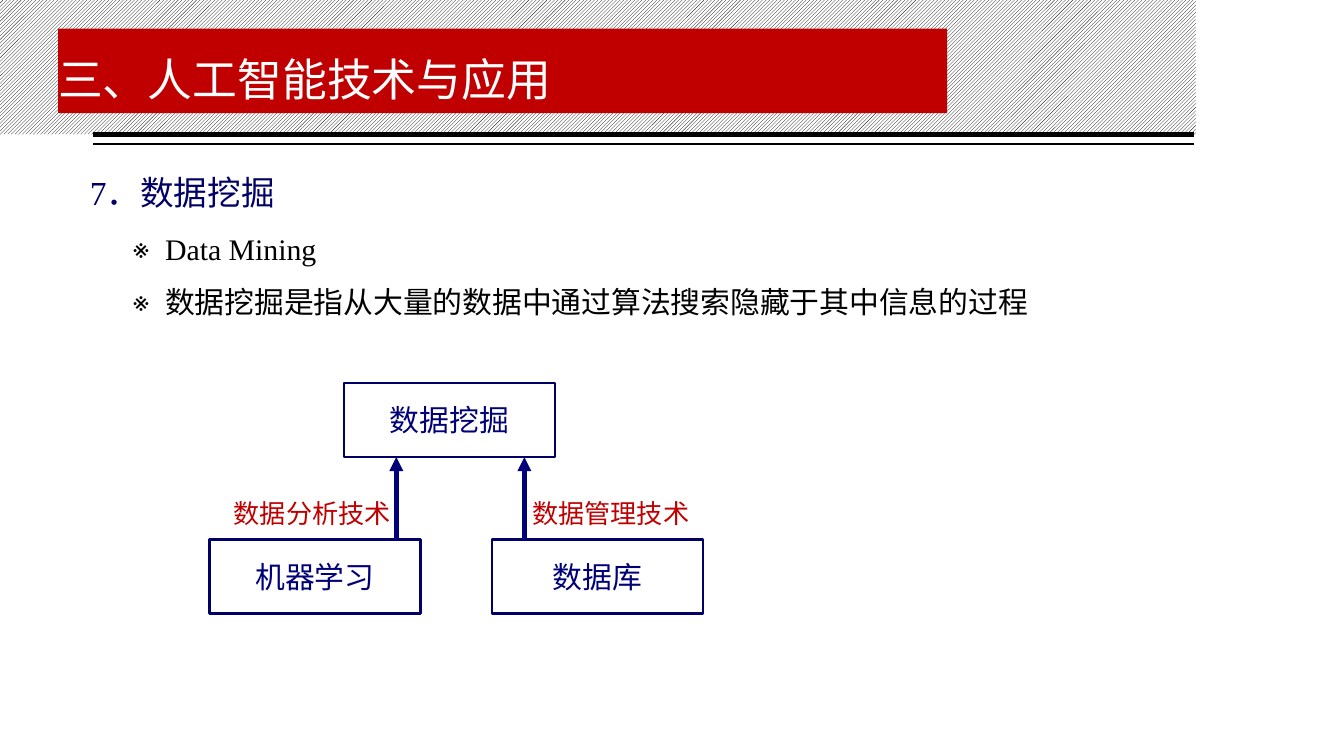
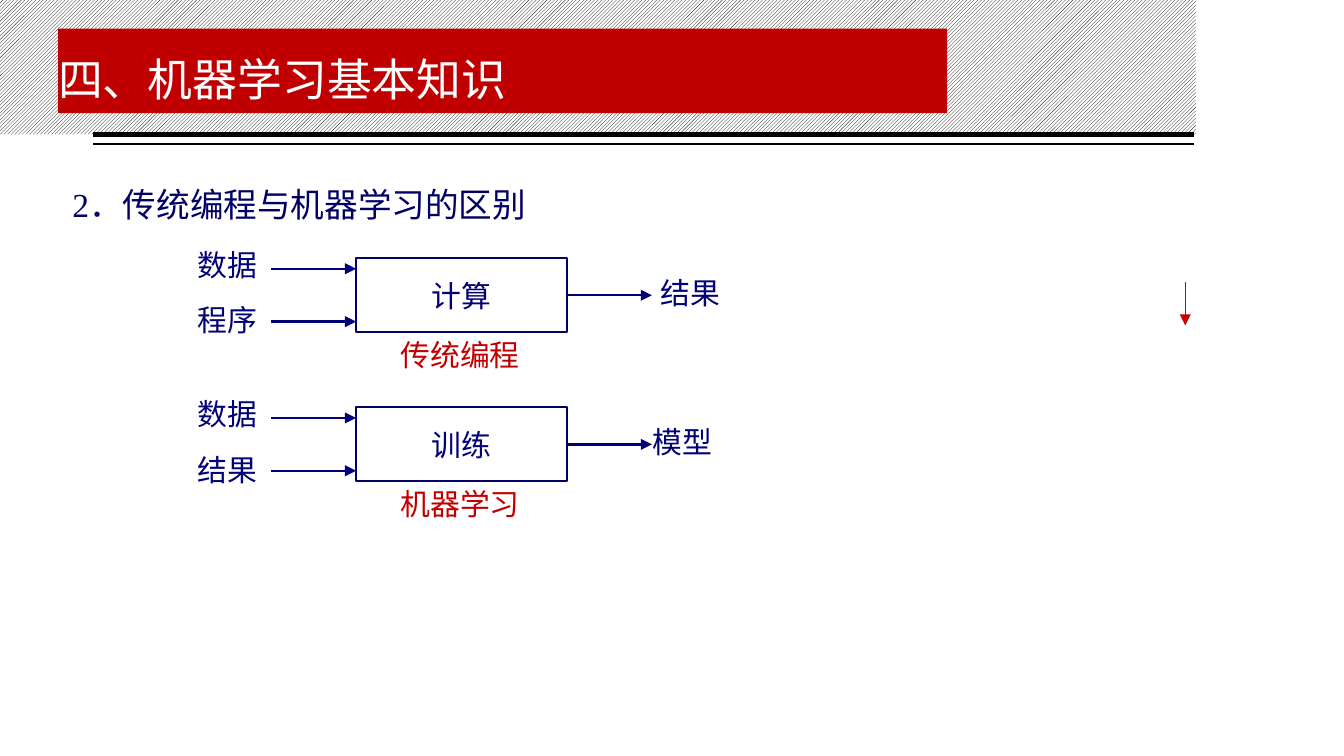
from dataclasses import dataclass

from lxml.etree import SubElement
from pptx import Presentation
from pptx.dml.color import RGBColor
from pptx.enum.dml import MSO_PATTERN
from pptx.enum.shapes import MSO_CONNECTOR, MSO_SHAPE
from pptx.enum.text import MSO_ANCHOR, MSO_AUTO_SIZE, PP_ALIGN
from pptx.oxml.ns import qn
from pptx.shapes.autoshape import Shape
from pptx.shapes.connector import Connector
from pptx.slide import Slide
from pptx.text.text import TextFrame
from pptx.util import Cm, Pt

BLACK, WHITE = "000000", "FFFFFF"
RED, ARROW_RED = "C00000", "CC0000"
NAVY, INK = "000066", "000078"
CJK, LATIN = "Noto Sans CJK SC", "Times New Roman"
BOX_WIDTH, BOX_HEIGHT = 3.99, 1.4
LABEL_WIDTH, LABEL_HEIGHT = 1.65, 0.94
INSET = 0.25


@dataclass(frozen=True)
class Node:
    text: str
    left: float
    top: float


@dataclass(frozen=True)
class Process:
    """A box with two inputs on the left, one output on the right and a caption below."""
    name: str
    inputs: tuple[str, str]
    output: str
    output_left: float
    caption: str


def color(value: str) -> RGBColor:
    return RGBColor.from_string(value)


def place(shape: Shape, left: float, top: float, width: float, height: float) -> None:
    shape.left, shape.top = Cm(left), Cm(top)
    shape.width, shape.height = Cm(width), Cm(height)


def set_frame(frame: TextFrame, *, wrap: bool = True, side: float = INSET,
              anchor: MSO_ANCHOR = MSO_ANCHOR.TOP) -> None:
    frame.auto_size = MSO_AUTO_SIZE.NONE
    frame.word_wrap = wrap
    frame.vertical_anchor = anchor
    frame.margin_left = frame.margin_right = Cm(side)
    frame.margin_top = frame.margin_bottom = Cm(0.13)


def write(frame: TextFrame, text: str, *, size: float = 16, ink: str = INK,
          font: str = CJK, align: PP_ALIGN = PP_ALIGN.LEFT, spacing: float = 1.0,
          bullet: str = "", indent: float = 0, hanging: float = 0,
          new_paragraph: bool = False) -> None:
    paragraph = frame.add_paragraph() if new_paragraph else frame.paragraphs[0]
    paragraph.alignment = align
    paragraph.line_spacing = spacing
    paragraph.space_before = Pt(0)
    properties = paragraph._p.get_or_add_pPr()
    properties.set("marL", str(Cm(indent)))
    properties.set("indent", str(-Cm(hanging)))
    if bullet:
        SubElement(properties, qn("a:buChar")).set("char", bullet)
    else:
        SubElement(properties, qn("a:buNone"))
    run = paragraph.add_run()
    run.text = text
    run.font.size = Pt(size)
    run.font.name = font
    run.font.color.rgb = color(ink)
    SubElement(run.font._element, qn("a:ea")).set("typeface", CJK)


def add_line(slide: Slide, start: tuple[float, float], end: tuple[float, float], *,
             ink: str = INK, weight: float = 1.25, arrow: bool = True) -> Connector:
    line = slide.shapes.add_connector(
        MSO_CONNECTOR.STRAIGHT, *(Cm(length) for length in start + end))
    line.line.color.rgb = color(ink)
    line.line.width = Pt(weight)
    if arrow:
        SubElement(line.line._get_or_add_ln(), qn("a:tailEnd")).set("type", "triangle")
    SubElement(line.element.spPr, qn("a:effectLst"))
    return line


def add_box(slide: Slide, node: Node) -> None:
    box = slide.shapes.add_shape(MSO_SHAPE.RECTANGLE, 0, 0, 0, 0)
    place(box, node.left, node.top, BOX_WIDTH, BOX_HEIGHT)
    box.shadow.inherit = False
    box.fill.background()
    box.line.color.rgb = color(NAVY)
    box.line.width = Pt(1.25)
    set_frame(box.text_frame, wrap=False, anchor=MSO_ANCHOR.MIDDLE)
    write(box.text_frame, node.text, align=PP_ALIGN.CENTER)


def add_label(slide: Slide, node: Node, *, width: float = LABEL_WIDTH,
              height: float = LABEL_HEIGHT, wrap: bool = False,
              anchor: MSO_ANCHOR = MSO_ANCHOR.TOP, **text_format) -> None:
    label = slide.shapes.add_textbox(0, 0, 0, 0)
    place(label, node.left, node.top, width, height)
    set_frame(label.text_frame, wrap=wrap, anchor=anchor)
    write(label.text_frame, node.text, **text_format)


def move_header_to_master(presentation: Presentation, slide: Slide) -> None:
    """Draw the hatched band and double rule, then hand them to the slide master."""
    band = slide.shapes.add_shape(MSO_SHAPE.RECTANGLE, 0, 0, Cm(22.6), Cm(2.54))
    band.shadow.inherit = False
    band.line.fill.background()
    band.fill.patterned()
    band.fill.pattern = MSO_PATTERN.LIGHT_UPWARD_DIAGONAL
    band.fill.fore_color.rgb = color(BLACK)
    band.fill.back_color.rgb = color(WHITE)
    rules = [add_line(slide, (22.56, top), (1.75, top), ink=BLACK, weight=weight, arrow=False)
             for top, weight in ((2.54, 3), (2.72, 1))]
    tree = presentation.slide_master.shapes.element
    for position, shape in enumerate([band, *rules]):
        shape.element.xpath(".//p:cNvPr")[0].set("id", str(100 + position))
        tree.insert(2 + position, shape.element)


def add_slide(presentation: Presentation, layout: int, text: str) -> Slide:
    slide = presentation.slides.add_slide(presentation.slide_layouts[layout])
    title = slide.shapes.title
    place(title, 1.1, 0.54, 16.8, 1.6)
    title.fill.solid()
    title.fill.fore_color.rgb = color(RED)
    set_frame(title.text_frame, side=0, anchor=MSO_ANCHOR.BOTTOM)
    write(title.text_frame, text, size=24, ink=WHITE, spacing=0.9)
    return slide


def build_data_mining(presentation: Presentation) -> None:
    slide = add_slide(presentation, 1, "三、人工智能技术与应用")
    move_header_to_master(presentation, slide)
    body = slide.placeholders[1]
    place(body, 1.7, 2.74, 21.41, 3.81)
    set_frame(body.text_frame, side=0)
    write(body.text_frame, "7．数据挖掘", size=18, ink=NAVY, font=LATIN, spacing=1.5)
    for text in ("Data Mining", "数据挖掘是指从大量的数据中通过算法搜索隐藏于其中信息的过程"):
        write(body.text_frame, text, ink=BLACK, font=LATIN, spacing=1.5, bullet="※",
              indent=1.42, hanging=0.62, new_paragraph=True)

    result_top, source_top = 7.24, 10.2
    for node in (Node("数据挖掘", 6.5, result_top), Node("机器学习", 3.96, source_top),
                 Node("数据库", 9.3, source_top)):
        add_box(slide, node)
    for left in (7.49, 9.91):
        add_line(slide, (left, source_top), (left, result_top + BOX_HEIGHT), weight=2.5)
    for node in (Node("数据分析技术", 3.91, 8.99), Node("数据管理技术", 9.55, 8.99)):
        add_label(slide, node, width=BOX_WIDTH, height=BOX_HEIGHT, anchor=MSO_ANCHOR.MIDDLE,
                  size=14, ink=RED, align=PP_ALIGN.CENTER)


def add_process(slide: Slide, process: Process, top: float) -> None:
    left, arrow_length = 6.73, 1.6
    right, middle = left + BOX_WIDTH, top + BOX_HEIGHT / 2
    add_box(slide, Node(process.name, left, top))
    for index, text in enumerate(process.inputs):
        arrow_top = top + 0.2 + index
        add_line(slide, (left - arrow_length, arrow_top), (left, arrow_top))
        add_label(slide, Node(text, 3.48, top - 0.35 + 1.05 * index))
    add_line(slide, (right, middle), (right + arrow_length, middle))
    add_label(slide, Node(process.output, process.output_left, top + 0.18))
    add_label(slide, Node(process.caption, 7.32, top + 1.35), width=2.79, ink=RED)


def build_comparison(presentation: Presentation) -> None:
    slide = add_slide(presentation, 5, "四、机器学习基本知识")
    add_label(slide, Node("2．传统编程与机器学习的区别", 1.12, 2.97), width=24.18, height=1.57,
              wrap=True, size=18, ink=NAVY, font=LATIN, spacing=1.5)
    add_line(slide, (22.4, 5.33), (22.4, 6.15), ink=ARROW_RED, weight=0.5)
    processes = (
        Process("计算", ("数据", "程序"), "结果", 12.24, "传统编程"),
        Process("训练", ("数据", "结果"), "模型", 12.09, "机器学习"),
    )
    for index, process in enumerate(processes):
        add_process(slide, process, 4.88 + 2.82 * index)


def main() -> None:
    presentation = Presentation()
    presentation.slide_width, presentation.slide_height = Cm(25.4), Cm(14.29)
    build_data_mining(presentation)
    build_comparison(presentation)
    presentation.save("out.pptx")


if __name__ == "__main__":
    main()
